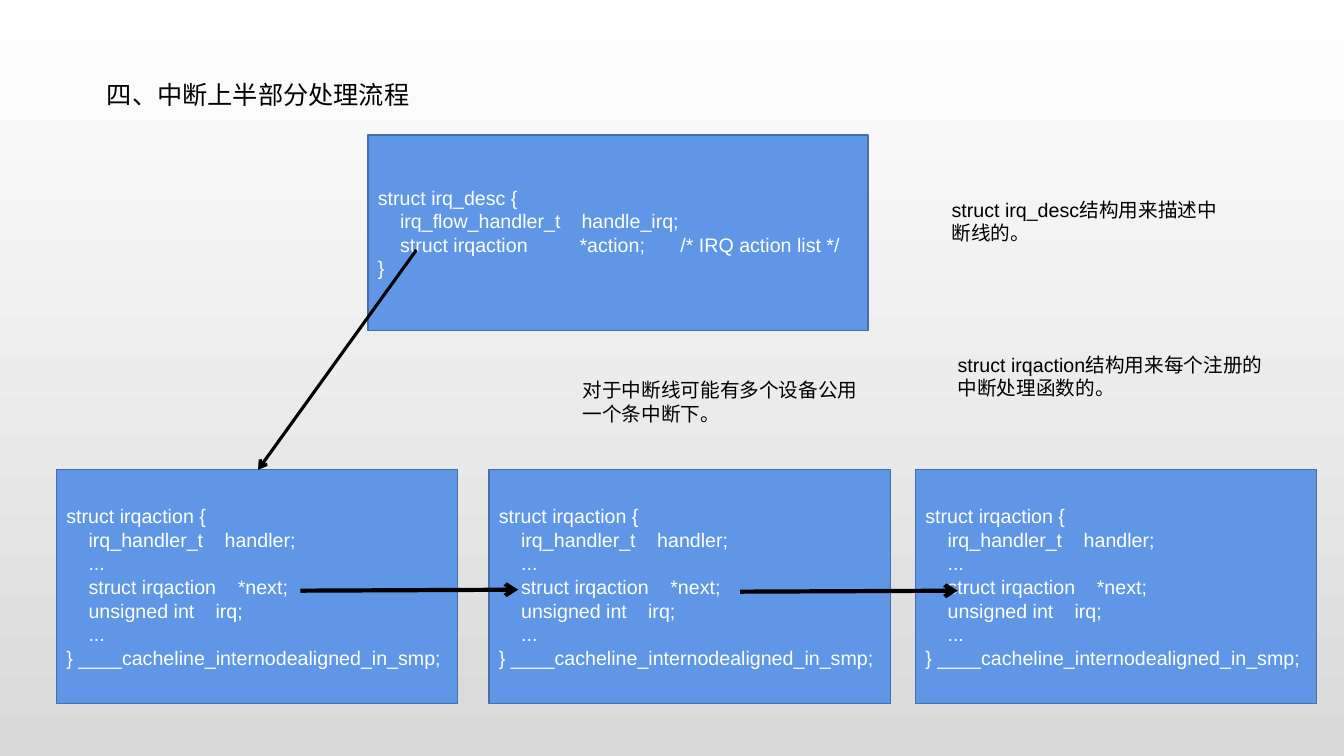
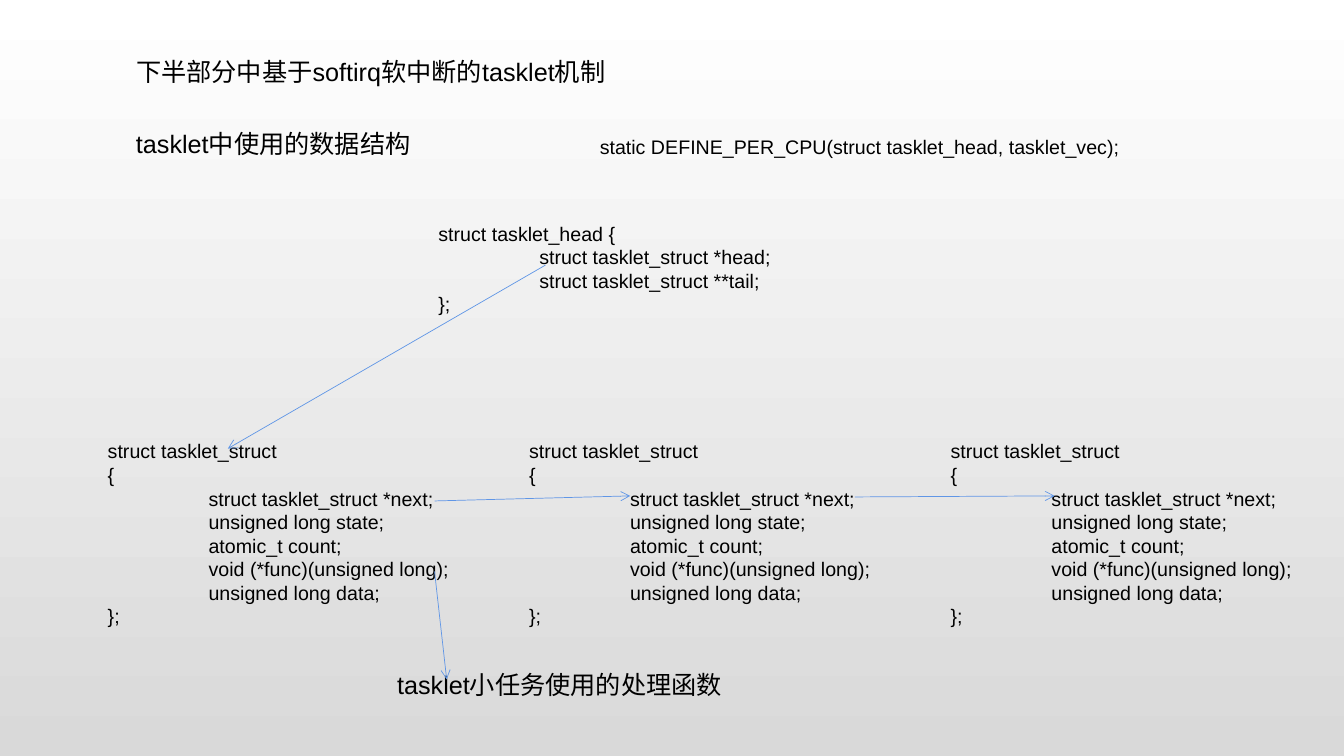
from lxml import etree
from pptx import Presentation
from pptx.dml.color import RGBColor
from pptx.enum.shapes import MSO_CONNECTOR, MSO_SHAPE
from pptx.enum.text import MSO_ANCHOR, MSO_AUTO_SIZE, PP_ALIGN
from pptx.oxml.ns import qn
from pptx.util import Inches, Pt

COLORS = {
    "top": "FFFFFF",
    "bottom": "D9D9D9",
    "box": "6096E6",
    "border": "476FAA",
    "text": "000000",
    "box_text": "FFFFFF",
}
FONT = "Arial"
TITLE_SIZE, BODY_SIZE = 18, 14
TITLE_ONLY = 5
LEFT = PP_ALIGN.LEFT
TOP, MIDDLE = MSO_ANCHOR.TOP, MSO_ANCHOR.MIDDLE
NO_FIT = MSO_AUTO_SIZE.NONE
RECTANGLE = MSO_SHAPE.RECTANGLE
STRAIGHT = MSO_CONNECTOR.STRAIGHT

# A code line is its text, or its text with tab stops in inches.
IRQ_DESC = [
    "struct irq_desc {",
    ("\tirq_flow_handler_t\thandle_irq;", (0.22, 2.02)),
    ("\tstruct irqaction\t*action;\t/* IRQ action list */", (0.22, 2, 3)),
    "}",
]
IRQACTION = [
    "struct irqaction {",
    ("\tirq_handler_t\thandler;", (0.22, 1.57)),
    ("\t...", (0.22,)),
    ("\tstruct irqaction\t*next;", (0.22, 1.7)),
    ("\tunsigned int\tirq;", (0.22, 1.48)),
    ("\t...", (0.22,)),
    "} ____cacheline_internodealigned_in_smp;",
]
TASKLET_HEAD = [
    "struct tasklet_head {",
    ("\tstruct tasklet_struct *head;", (1,)),
    ("\tstruct tasklet_struct **tail;", (1,)),
    "};",
]
TASKLET_FIELDS = [
    "struct tasklet_struct *next;",
    "unsigned long state;",
    "atomic_t count;",
    "void (*func)(unsigned long);",
    "unsigned long data;",
]
TASKLET_STRUCT = [
    "struct tasklet_struct",
    "{",
    *[("\t" + field, (1,)) for field in TASKLET_FIELDS],
    "};",
]


def rgb(name):
    """Return the named colour."""
    return RGBColor.from_string(COLORS[name])


def inches(lengths):
    """Turn a series of numbers into lengths."""
    return [Inches(length) for length in lengths]


def add_tab_stops(para, stops):
    """Give a paragraph left-aligned tab stops."""
    tab_list = etree.SubElement(para._p.get_or_add_pPr(), qn("a:tabLst"))
    for stop in stops:
        etree.SubElement(tab_list, qn("a:tab"), pos=str(Inches(stop)), algn="l")


def write_text(shape, lines, size=BODY_SIZE, color="text", anchor=TOP):
    """Write lines into a shape, one paragraph each."""
    frame = shape.text_frame
    frame.auto_size = NO_FIT
    frame.word_wrap = True
    frame.vertical_anchor = anchor
    for index, line in enumerate(lines):
        text, stops = (line, ()) if isinstance(line, str) else line
        para = frame.add_paragraph() if index else frame.paragraphs[0]
        para.alignment = LEFT
        if stops:
            add_tab_stops(para, stops)
        span = para.add_run()
        span.text = text
        span.font.name = FONT
        span.font.size = Pt(size)
        span.font.color.rgb = rgb(color)


def add_page(deck, title, place):
    """Add a title-only slide with its title at the given place."""
    page = deck.slides.add_slide(deck.slide_layouts[TITLE_ONLY])
    heading = page.shapes.title
    heading.left, heading.top, heading.width, heading.height = inches(place)
    write_text(heading, [title], size=TITLE_SIZE)
    return page


def add_text(page, place, lines, **style):
    """Add a plain text box."""
    write_text(page.shapes.add_textbox(*inches(place)), lines, **style)


def add_code_box(page, place, lines):
    """Add a filled rectangle holding code."""
    box = page.shapes.add_shape(RECTANGLE, *inches(place))
    box.shadow.inherit = False
    box.fill.solid()
    box.fill.fore_color.rgb = rgb("box")
    box.line.color.rgb = rgb("border")
    box.line.width = Pt(1)
    write_text(box, lines, color="box_text", anchor=MIDDLE)


def add_arrow(page, start, end, color, width):
    """Add a straight line with an open arrowhead at its end."""
    arrow = page.shapes.add_connector(STRAIGHT, *inches(start + end))
    arrow.line.color.rgb = rgb(color)
    arrow.line.width = Pt(width)
    etree.SubElement(arrow.line._get_or_add_ln(), qn("a:tailEnd"), type="arrow")
    etree.SubElement(arrow._element.spPr, qn("a:effectLst"))


def set_background(deck):
    """Give the slide master a vertical gradient."""
    fill = deck.slide_master.background.fill
    fill.gradient()
    fill.gradient_angle = 270
    for stop, name in zip(fill.gradient_stops, ("top", "bottom")):
        stop.color.rgb = rgb(name)


def build_irq_page(deck):
    """Show how an interrupt line leads to its chain of actions."""
    page = add_page(deck, "四、中断上半部分处理流程", (0.96, 0.74, 3.4, 0.4))
    add_code_box(page, (3.65, 1.34, 4.96, 1.94), IRQ_DESC)
    for left in (0.56, 4.85, 9.08):
        add_code_box(page, (left, 4.66, 3.98, 2.32), IRQACTION)
    add_arrow(page, (4.13, 2.48), (2.56, 4.66), "text", 2.25)
    add_arrow(page, (2.98, 5.86), (5.14, 5.85), "text", 3)
    add_arrow(page, (7.34, 5.87), (9.5, 5.86), "text", 3)
    add_text(page, (9.34, 1.91, 2.86, 0.57), ["struct irq_desc结构用来描述中断线的。"])
    add_text(page, (9.4, 3.45, 3.22, 0.57),
             ["struct irqaction结构用来每个注册的中断处理函数的。"])
    add_text(page, (5.68, 3.7, 3.07, 0.57),
             ["对于中断线可能有多个设备公用一个条中断下。"])


def build_tasklet_page(deck):
    """Show the tasklet list and its handler function."""
    page = add_page(deck, "下半部分中基于softirq软中断的tasklet机制",
                    (1.25, 0.51, 5.96, 0.4))
    add_text(page, (1.25, 1.22, 3.68, 0.4), ["tasklet中使用的数据结构"],
             size=TITLE_SIZE)
    add_text(page, (5.85, 1.29, 5.95, 0.34),
             ["static DEFINE_PER_CPU(struct tasklet_head, tasklet_vec);"])
    add_text(page, (4.25, 2.15, 3.65, 1.04), TASKLET_HEAD)
    for column in range(3):
        add_text(page, (0.97 + 4.18 * column, 4.31, 3.82, 1.98), TASKLET_STRUCT)
    add_text(page, (3.84, 6.59, 3.52, 0.4), ["tasklet小任务使用的处理函数"],
             size=TITLE_SIZE)
    for start, end in (
        ((5.41, 2.63), (2.26, 4.45)),
        ((4.31, 4.97), (6.25, 4.92)),
        ((8.48, 4.93), (10.46, 4.92)),
        ((4.31, 5.67), (4.43, 6.74)),
    ):
        add_arrow(page, start, end, "box", 0.5)


def main():
    """Build and save the deck."""
    deck = Presentation()
    deck.slide_width, deck.slide_height = Inches(13.33), Inches(7.5)
    set_background(deck)
    build_irq_page(deck)
    build_tasklet_page(deck)
    deck.save("out.pptx")


main()
